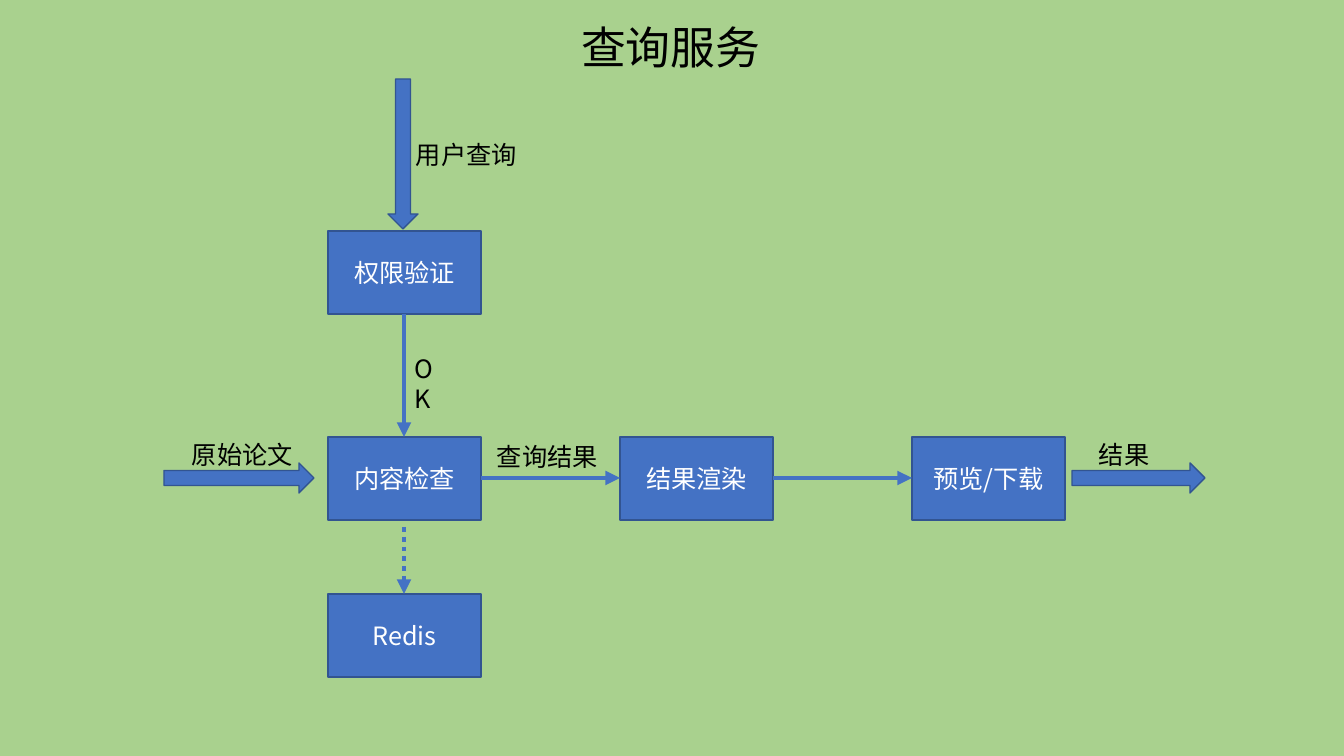
"""Builds the query service flow slide."""
from lxml.etree import SubElement
from pptx import Presentation
from pptx.dml.color import RGBColor
from pptx.enum.dml import MSO_LINE
from pptx.enum.shapes import MSO_CONNECTOR, MSO_SHAPE
from pptx.enum.text import MSO_ANCHOR, MSO_AUTO_SIZE, PP_ALIGN
from pptx.oxml.ns import qn
from pptx.util import Emu, Pt

GREEN = RGBColor(0xA9, 0xD1, 0x8E)
BLUE = RGBColor(0x44, 0x72, 0xC4)
EDGE = RGBColor(0x32, 0x54, 0x91)
BLACK = RGBColor(0, 0, 0)
WHITE = RGBColor(255, 255, 255)
FONT = "Noto Sans CJK SC"

BOX_W, BOX_H = 153, 83
COLUMNS = [328 + 292 * i for i in range(3)]
CHECK_Y, REDIS_Y, AUTH_Y = 437, 594, 231
ARROW_H = 30


def px(*lengths):
    return [Emu(round(n * 914400 / 100.8)) for n in lengths]


class FlowSlide:
    def __init__(self, prs):
        self.slide = prs.slides.add_slide(prs.slide_layouts[5])
        self.shapes = self.slide.shapes
        fill = self.slide.background.fill
        fill.solid()
        fill.fore_color.rgb = GREEN

    def set_text(self, sp, text, color, size=18, align=PP_ALIGN.LEFT,
                 anchor=MSO_ANCHOR.TOP, wrap=True):
        tf = sp.text_frame
        tf.text = text
        tf.word_wrap = wrap
        tf.vertical_anchor = anchor
        p = tf.paragraphs[0]
        p.alignment = align
        p.font.size = Pt(size)
        p.font.name = FONT
        p.font.color.rgb = color
        props = p._p.pPr.find(qn("a:defRPr"))
        SubElement(props, qn("a:ea"), typeface=FONT)

    def title(self, text, x, y, w, h):
        sp = self.shapes.title
        sp.left, sp.top, sp.width, sp.height = px(x, y, w, h)
        self.set_text(sp, text, BLACK, size=32, wrap=False)
        sp.text_frame.auto_size = MSO_AUTO_SIZE.SHAPE_TO_FIT_TEXT

    def label(self, text, x, y, w, wrap=False):
        sp = self.shapes.add_textbox(*px(x, y, w, 40))
        self.set_text(sp, text, BLACK, wrap=wrap)
        sp.text_frame.auto_size = MSO_AUTO_SIZE.SHAPE_TO_FIT_TEXT

    def block(self, kind, x, y, w, h):
        sp = self.shapes.add_shape(kind, *px(x, y, w, h))
        sp.shadow.inherit = False
        sp.fill.solid()
        sp.fill.fore_color.rgb = BLUE
        sp.line.color.rgb = EDGE
        sp.line.width = Pt(1)
        return sp

    def box(self, text, x, y):
        sp = self.block(MSO_SHAPE.RECTANGLE, x, y, BOX_W, BOX_H)
        self.set_text(sp, text, WHITE, align=PP_ALIGN.CENTER,
                      anchor=MSO_ANCHOR.MIDDLE)

    def arrow(self, x, y, w, rotation=0):
        sp = self.block(MSO_SHAPE.RIGHT_ARROW, x, y, w, ARROW_H)
        sp.rotation = rotation

    def link(self, x1, y1, x2, y2, dotted=False):
        c = self.shapes.add_connector(MSO_CONNECTOR.STRAIGHT, *px(x1, y1, x2, y2))
        c.line.color.rgb = BLUE
        c.line.width = Pt(3.5)
        if dotted:
            c.line.dash_style = MSO_LINE.ROUND_DOT
        props = c._element.spPr
        SubElement(props.find(qn("a:ln")), qn("a:tailEnd"), type="triangle")
        SubElement(props, qn("a:effectLst"))


def main():
    prs = Presentation()
    prs.slide_width, prs.slide_height = px(1344, 756)
    s = FlowSlide(prs)
    s.title("查询服务", 571, 15, 202, 65)

    for text, x in zip(("内容检查", "结果渲染", "预览/下载"), COLUMNS):
        s.box(text, x, CHECK_Y)
    s.box("权限验证", COLUMNS[0], AUTH_Y)
    s.box("Redis", COLUMNS[0], REDIS_Y)

    mid_x = COLUMNS[0] + BOX_W // 2
    mid_y = CHECK_Y + BOX_H // 2
    for x, next_x in zip(COLUMNS, COLUMNS[1:]):
        s.link(x + BOX_W, mid_y, next_x, mid_y)
    s.link(mid_x, AUTH_Y + BOX_H, mid_x, CHECK_Y)
    s.link(mid_x, CHECK_Y + BOX_H + 7, mid_x, REDIS_Y, dotted=True)

    arrow_y = mid_y - ARROW_H // 2
    s.arrow(164, arrow_y, 150)
    s.arrow(1072, arrow_y, 133)
    s.arrow(328, 139, 150, rotation=90)

    s.label("原始论文", 182, 434, 122)
    s.label("查询结果", 487, 436, 122)
    s.label("结果", 1089, 434, 72)
    s.label("用户查询", 406, 134, 122)
    s.label("OK", 405, 348, 53, wrap=True)
    prs.save("out.pptx")


if __name__ == "__main__":
    main()
